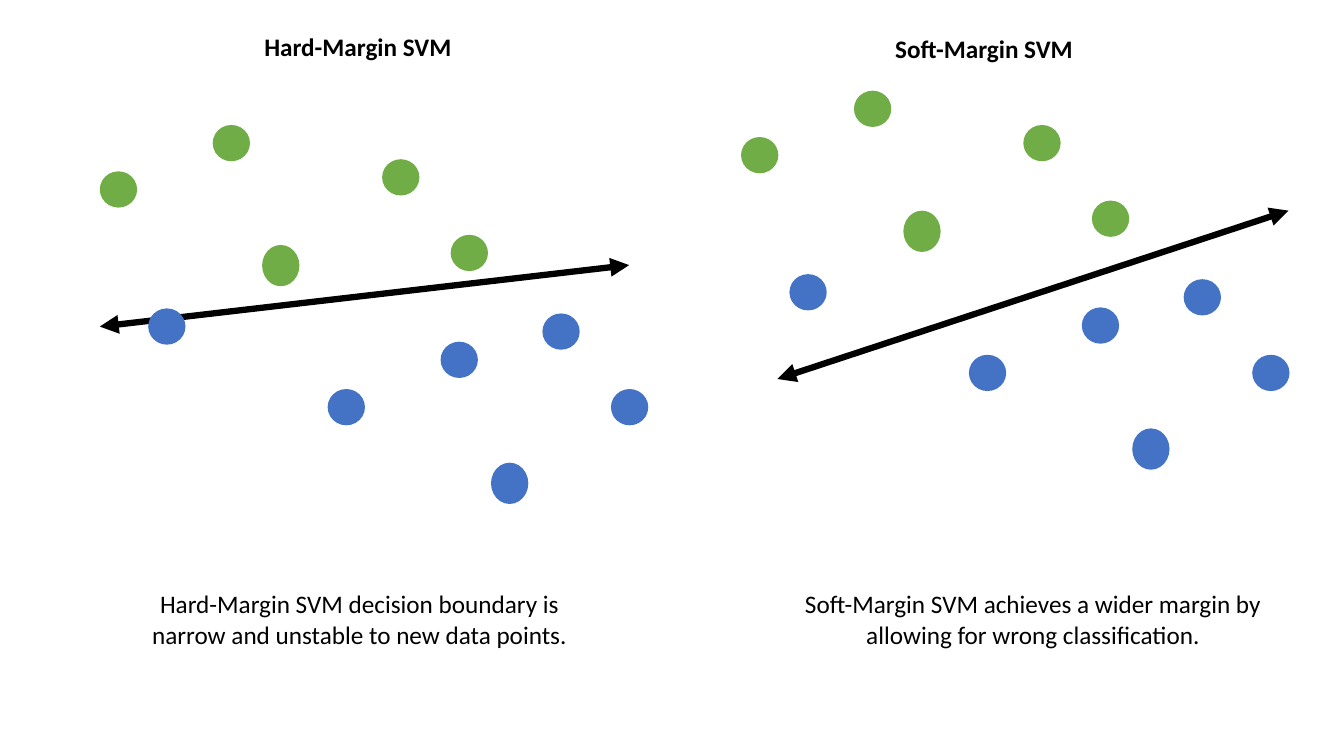
import pptx
import pptx.util
import pptx.dml.color
import pptx.enum.shapes
import pptx.enum.text
import pptx.oxml
import pptx.oxml.ns

EMU_PER_PX = 9144  # 100 px to the inch
GREEN, BLUE, BLACK = "70AD47", "4472C4", "000000"


def px(length):
    return pptx.util.Emu(length * EMU_PER_PX)


def rgb(value):
    return pptx.dml.color.RGBColor.from_string(value)


def drawing_element(tag, attributes=""):
    namespace = pptx.oxml.ns.nsdecls("a")
    return pptx.oxml.parse_xml(f"<a:{tag} {namespace} {attributes}/>")


class Canvas:
    """Holds the text style and the current slide."""

    font, size, colour = "Calibri", 18, BLACK

    def __init__(self, slide):
        self.slide = slide

    def dot(self, x, y, height, colour):
        dot = self.slide.shapes.add_shape(
            pptx.enum.shapes.MSO_SHAPE.OVAL, px(x), px(y), px(37), px(height))
        dot.shadow.inherit = False
        dot.fill.solid()
        dot.fill.fore_color.rgb = rgb(colour)
        dot.line.fill.background()

    def boundary(self, start, end):
        boundary = self.slide.shapes.add_connector(
            pptx.enum.shapes.MSO_CONNECTOR.STRAIGHT, *map(px, start + end))
        boundary.line.color.rgb = rgb(BLACK)
        boundary.line.width = pptx.util.Pt(4.5)
        properties = boundary._element.spPr
        outline = properties.find(pptx.oxml.ns.qn("a:ln"))
        for tag in ("headEnd", "tailEnd"):
            outline.append(drawing_element(tag, 'type="triangle"'))
        properties.append(drawing_element("effectLst"))

    def set_text(self, holder, text, bold):
        frame = holder.text_frame
        frame.text = text
        frame.word_wrap = True
        frame.auto_size = pptx.enum.text.MSO_AUTO_SIZE.NONE
        frame.vertical_anchor = pptx.enum.text.MSO_ANCHOR.TOP
        paragraph = frame.paragraphs[0]
        paragraph.alignment = pptx.enum.text.PP_ALIGN.CENTER
        paragraph.space_before = pptx.util.Pt(0)
        font = paragraph.runs[0].font
        font.name, font.size, font.bold = self.font, pptx.util.Pt(self.size), bold
        font.color.rgb = rgb(self.colour)

    def heading(self, idx, text, x, y):
        heading = self.slide.placeholders[idx]
        heading.left, heading.top = px(x), px(y)
        heading.width, heading.height = px(484), px(40)
        self.set_text(heading, text, True)

    def caption(self, text, x, y):
        caption = self.slide.shapes.add_textbox(px(x), px(y), px(479), px(71))
        self.set_text(caption, text, False)

    def remove_empty_placeholders(self):
        for holder in list(self.slide.placeholders):
            if not holder.text_frame.text:
                holder._element.getparent().remove(holder._element)


# Data points shared by both panels: x, y, height
POINTS = {
    GREEN: [(99, 170, 36), (211, 124, 36), (379, 158, 36),
            (260, 243, 41), (447, 233, 36)],
    BLUE: [(325, 386, 36), (437, 339, 36), (538, 311, 36),
           (487, 459, 41), (606, 386, 36), (147, 306, 36)],
}

# Panels: the soft-margin points are the same set, shifted
PANELS = [
    dict(idx=1, heading="Hard-Margin SVM", heading_at=(113, 26), shift=(0, 0),
         boundary=((99, 324), (624, 263)), caption_at=(117, 579),
         caption="Hard-Margin SVM decision boundary is narrow and unstable "
                 "to new data points."),
    dict(idx=3, heading="Soft-Margin SVM", heading_at=(734, 28), shift=(636, -34),
         boundary=((771, 376), (1278, 209)), caption_at=(785, 579),
         caption="Soft-Margin SVM achieves a wider margin by allowing for "
                 "wrong classification."),
]


def main():
    deck = pptx.Presentation()
    deck.slide_width, deck.slide_height = px(1333), px(750)
    comparison = deck.slide_layouts.get_by_name("Comparison")
    canvas = Canvas(deck.slides.add_slide(comparison))

    for panel in PANELS:
        canvas.heading(panel["idx"], panel["heading"], *panel["heading_at"])
        # Boundary lies beneath the points
        canvas.boundary(*panel["boundary"])
        dx, dy = panel["shift"]
        for colour, points in POINTS.items():
            for x, y, height in points:
                canvas.dot(x + dx, y + dy, height, colour)
        canvas.caption(panel["caption"], *panel["caption_at"])

    canvas.remove_empty_placeholders()
    deck.save("out.pptx")


if __name__ == "__main__":
    main()
